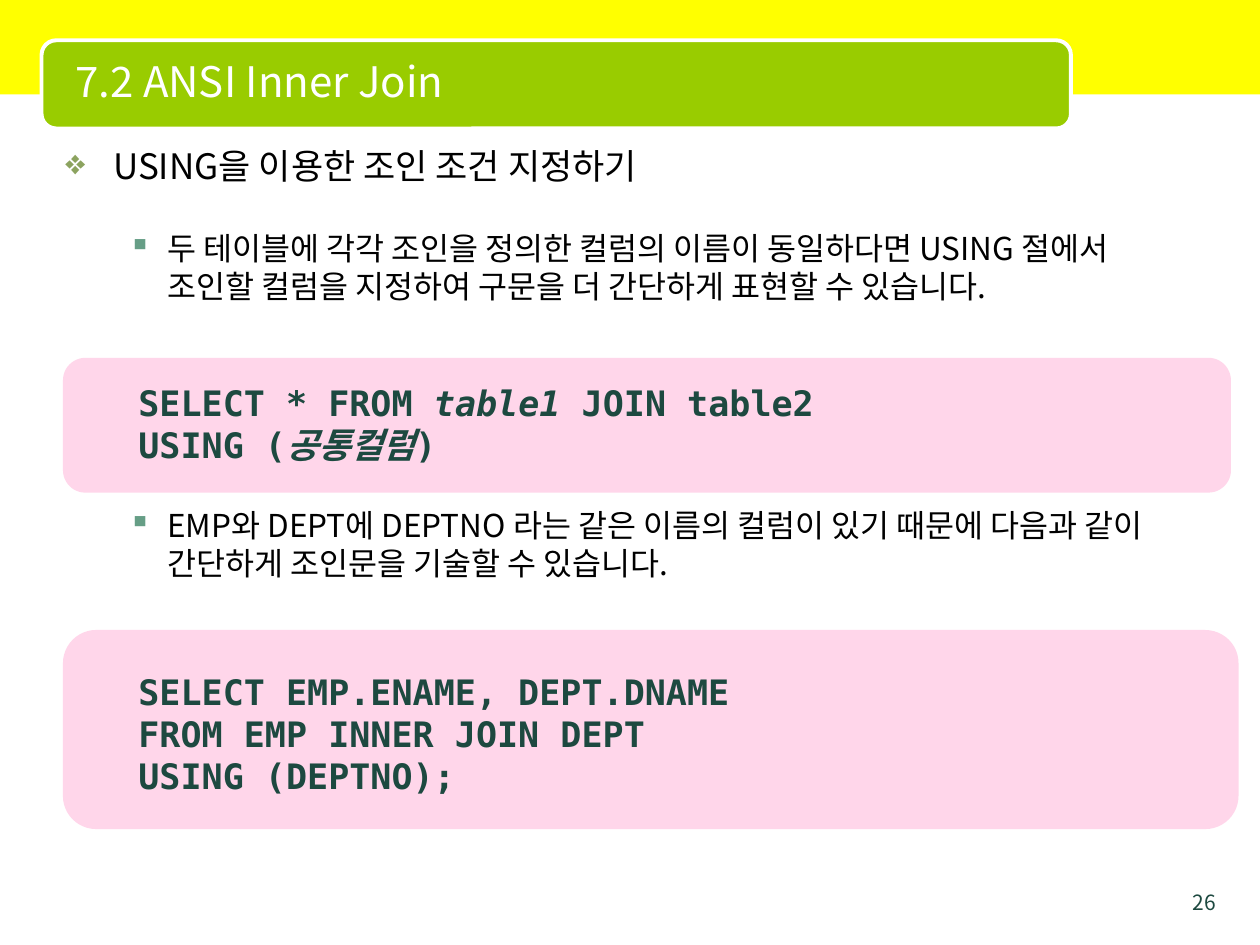
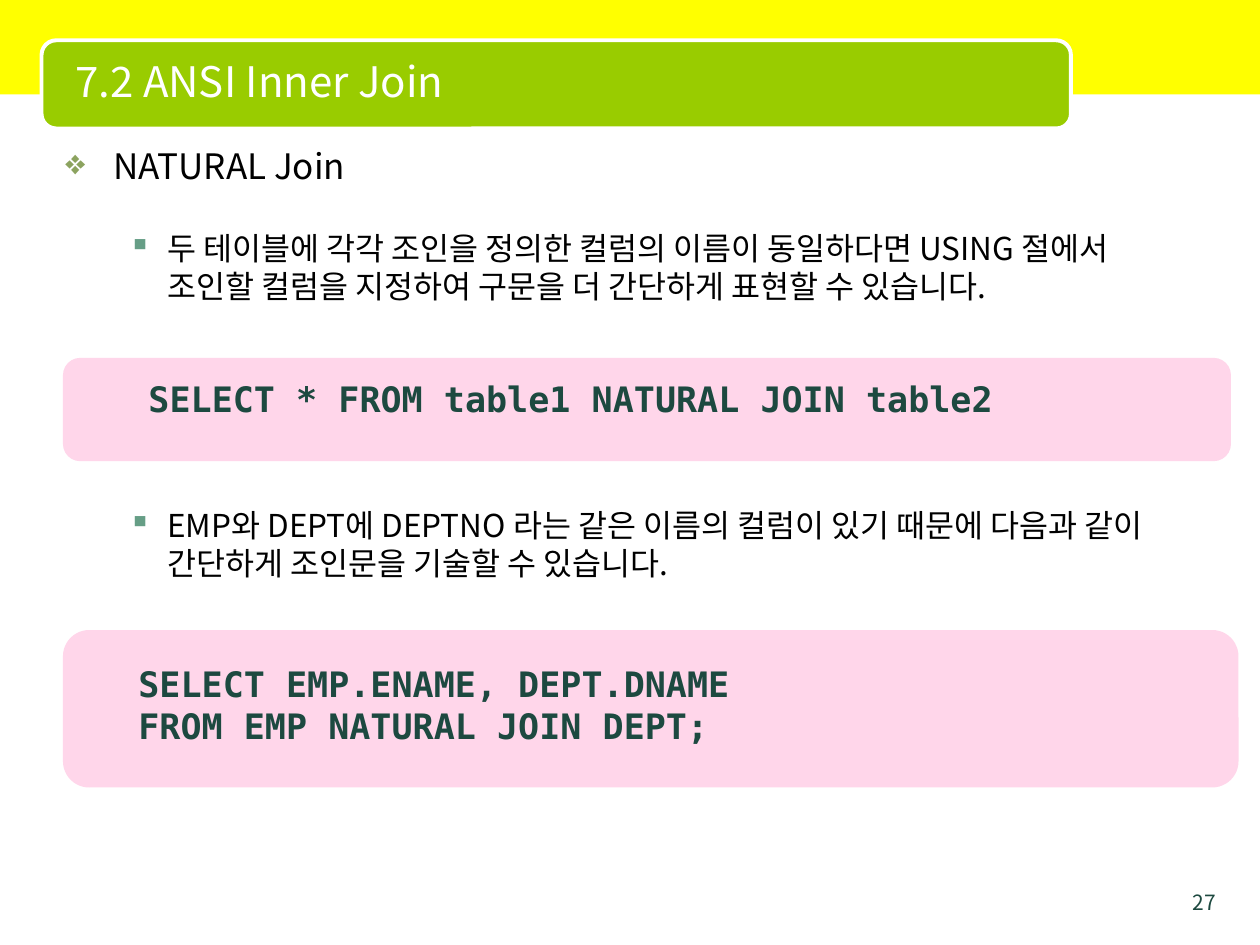
from lxml.etree import SubElement
from pptx import Presentation
from pptx.dml.color import RGBColor
from pptx.enum.shapes import MSO_SHAPE
from pptx.enum.text import MSO_ANCHOR, PP_ALIGN
from pptx.oxml.ns import qn
from pptx.util import Inches, Pt

COLORS = {
    "band": "FFFF00",
    "title": "99CC00",
    "white": "FFFFFF",
    "black": "000000",
    "code": "1D4940",
    "pink": "FF99CC",
    "diamond": "8CA35F",
    "square": "669E86",
}
SANS = "Noto Sans CJK KR"
MONO = "DejaVu Sans Mono"

TITLE = "7.2 ANSI Inner Join"
POINTS = [
    "두 테이블에 각각 조인을 정의한 컬럼의 이름이 동일하다면 USING 절에서 "
    "조인할 컬럼을 지정하여 구문을 더 간단하게 표현할 수 있습니다.",
    "EMP와 DEPT에 DEPTNO 라는 같은 이름의 컬럼이 있기 때문에 다음과 "
    "같이 간단하게 조인문을 기술할 수 있습니다.",
]
LEAD = 1.2
GAP = 24


def color(name):
    return RGBColor.from_string(COLORS[name])


def style(para, size, shade, font=SANS, bold=False):
    for run in para.runs:
        run.font.size = Pt(size)
        run.font.name = font
        run.font.bold = bold
        run.font.color.rgb = color(shade)
        props = run.font._element
        SubElement(props, qn("a:ea")).set("typeface", SANS)


def add_box(shapes, left, top, width, height):
    box = shapes.add_textbox(Inches(left), Inches(top), Inches(width), Inches(height))
    box.text_frame.word_wrap = True
    return box.text_frame


def add_line(frame, text, size, shade):
    para = frame.paragraphs[0]
    para.text = text
    style(para, size, shade)
    return para


def add_block(shapes, kind, left, top, width, height, fill, alpha=None):
    block = shapes.add_shape(
        kind, Inches(left), Inches(top), Inches(width), Inches(height)
    )
    block.shadow.inherit = False
    block.fill.solid()
    block.fill.fore_color.rgb = color(fill)
    block.line.fill.background()
    if alpha:
        tint = block.element.spPr.find(qn("a:solidFill")).find(qn("a:srgbClr"))
        SubElement(tint, qn("a:alpha")).set("val", str(alpha * 1000))
    return block


def add_frame(slide, number):
    add_block(slide.shapes, MSO_SHAPE.RECTANGLE, 0, 0, 10, 0.75, "band")
    plate = add_block(
        slide.shapes, MSO_SHAPE.ROUNDED_RECTANGLE, 0.33, 0.32, 8.17, 0.7, "title"
    )
    plate.line.color.rgb = color("white")
    plate.line.width = Pt(2.25)
    page = add_box(slide.shapes, 9.25, 7.01, 0.5, 0.21)
    add_line(page, str(number), 12, "code").alignment = PP_ALIGN.RIGHT
    head = add_box(slide.shapes, 0.5, 0.33, 7.92, 0.62)
    head.vertical_anchor = MSO_ANCHOR.MIDDLE
    add_line(head, TITLE, 24, "white")


def add_bullet(para, text, size, mark, shade, left, hang, before):
    para.text = text
    style(para, size, "black")
    para.line_spacing = Pt(size * LEAD)
    para.space_before = Pt(before)
    props = para._p.get_or_add_pPr()
    props.set("marL", str(Inches(left)))
    props.set("indent", str(-Inches(hang)))
    tint = SubElement(props, qn("a:buClr"))
    SubElement(tint, qn("a:srgbClr")).set("val", COLORS[shade])
    SubElement(props, qn("a:buChar")).set("char", mark)


def add_body(slide, topic):
    frame = add_box(slide.shapes, 0.42, 1.1, 9, 6.14)
    add_bullet(frame.paragraphs[0], topic, 20, "❖", "diamond", 0.38, 0.38, GAP)
    skip = 3 * GAP + 2 * 18 * LEAD
    for text, before in zip(POINTS, (GAP, skip)):
        para = frame.add_paragraph()
        para.level = 1
        add_bullet(para, text, 18, "▪", "square", 0.81, 0.31, before)


def add_code(slide, top, width, height, inset, lines, align=PP_ALIGN.LEFT):
    group = slide.shapes.add_group_shape()
    add_block(
        group.shapes, MSO_SHAPE.ROUNDED_RECTANGLE, 0.5, top, width, height, "pink", 40
    )
    tall = 0.1 + len(lines) / 3
    frame = add_box(group.shapes, 1, top + inset, 7.06, tall)
    for index, line in enumerate(lines):
        para = frame.add_paragraph() if index else frame.paragraphs[0]
        para.alignment = align
        para.line_spacing = Pt(20 * LEAD)
        for turn, part in enumerate(line.split("|")):
            run = para.add_run()
            run.text = part
            run.font.italic = turn % 2 == 1
        style(para, 20, "code", MONO, True)


def add_page(deck, number, topic, syntax, sample):
    slide = deck.slides.add_slide(deck.slide_layouts[6])
    add_frame(slide, number)
    add_body(slide, topic)
    add_code(slide, 2.84, 9.27, *syntax)
    add_code(slide, 5, 9.33, *sample)


def main():
    deck = Presentation()
    deck.slide_width = Inches(10)
    deck.slide_height = Inches(7.5)
    query = "SELECT EMP.ENAME, DEPT.DNAME"
    add_page(
        deck,
        26,
        "USING을 이용한 조인 조건 지정하기",
        (1.07, 0.14, ["SELECT * FROM| table1| JOIN table2", "USING (|공통컬럼|)"]),
        (1.58, 0.27, [query, "FROM EMP INNER JOIN DEPT", "USING (DEPTNO);"]),
    )
    add_page(
        deck,
        27,
        "NATURAL Join",
        (0.82, 0.11, ["SELECT * FROM table1 NATURAL JOIN table2"], PP_ALIGN.CENTER),
        (1.25, 0.21, [query, "FROM EMP NATURAL JOIN DEPT;"]),
    )
    deck.save("out.pptx")


if __name__ == "__main__":
    main()
